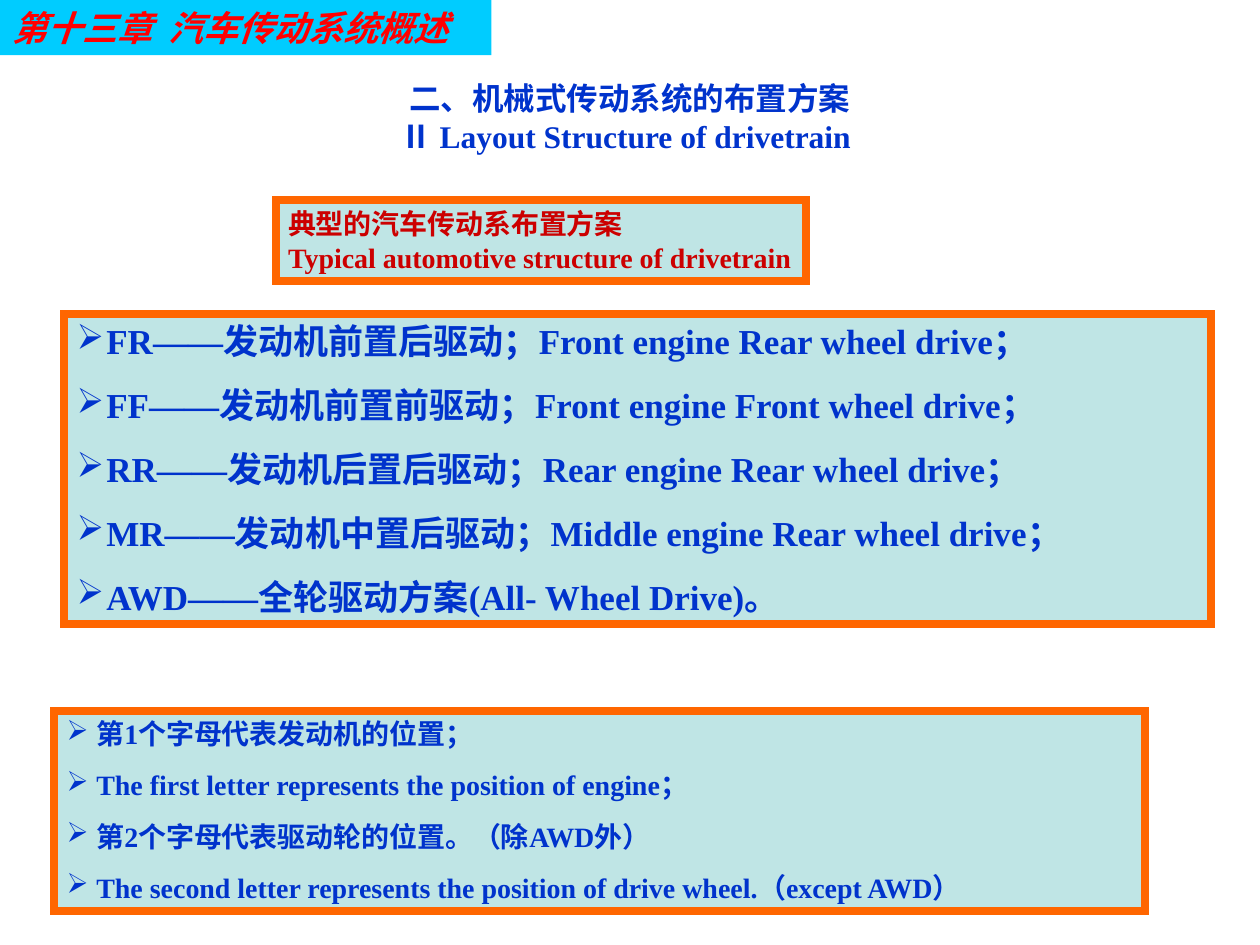
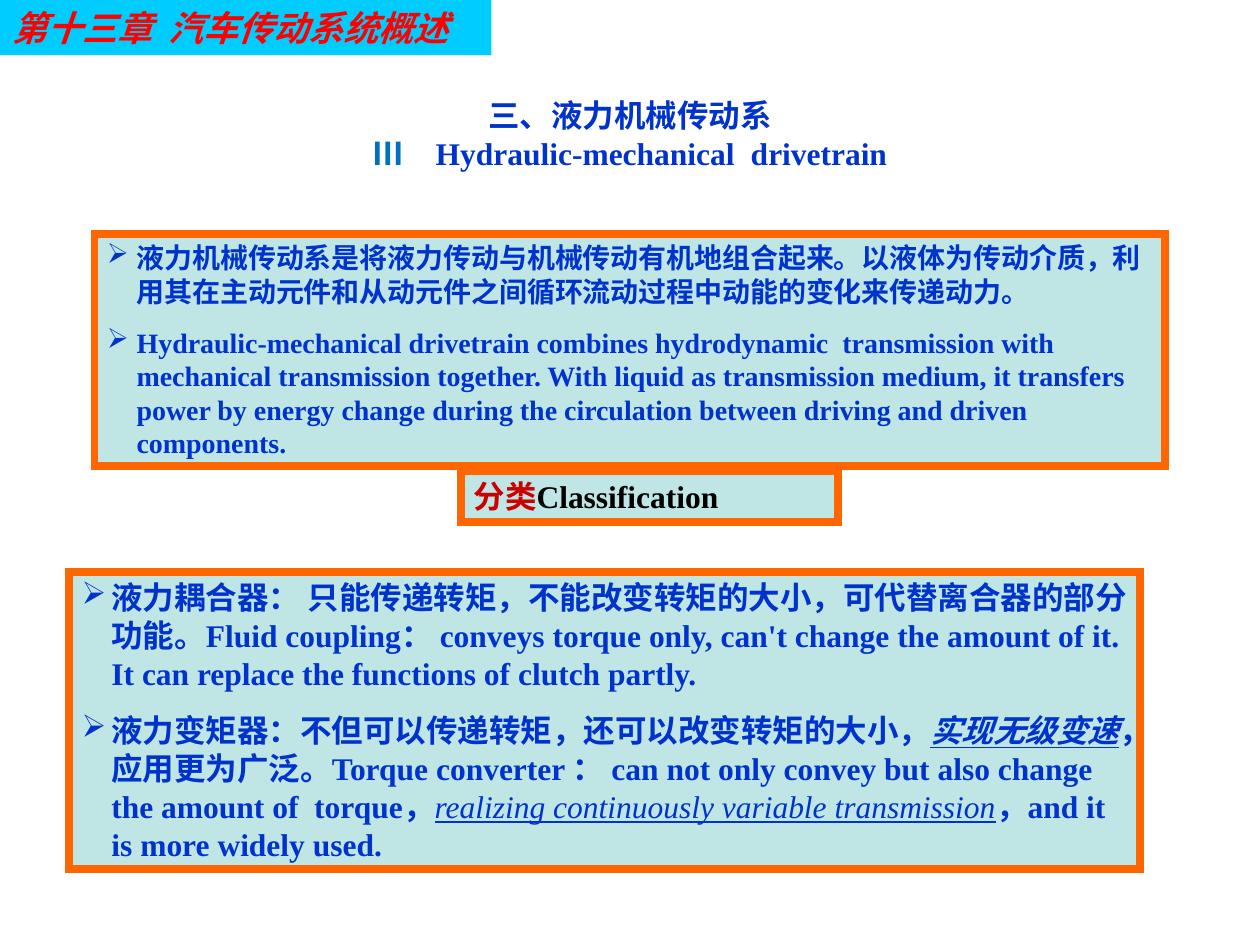
"""Build two slides on drivetrain layouts and hydraulic-mechanical drivetrains."""
from dataclasses import dataclass

from lxml.etree import SubElement
from pptx import Presentation
from pptx.dml.color import RGBColor
from pptx.enum.lang import MSO_LANGUAGE_ID
from pptx.enum.shapes import MSO_SHAPE
from pptx.enum.text import MSO_ANCHOR, PP_ALIGN
from pptx.oxml.ns import qn
from pptx.util import Pt

CYAN = RGBColor(0x00, 0xCC, 0xFF)
RED = RGBColor(0xFF, 0x00, 0x00)
DARK_RED = RGBColor(0xCC, 0x00, 0x00)
BLUE = RGBColor(0x00, 0x33, 0xCC)
LIGHT_BLUE = RGBColor(0x00, 0x70, 0xC0)
TEAL = RGBColor(0x00, 0x99, 0x99)
ORANGE = RGBColor(0xFF, 0x66, 0x00)
BLACK = RGBColor(0x00, 0x00, 0x00)

SANS = "Arial"
SERIF = "Times New Roman"
BULLET_INDENT = 17
TAB_STEP = 72
TAB_COUNT = 8


@dataclass
class Span:
    """A stretch of text with one look."""

    text: str
    font: str = SERIF
    color: RGBColor = BLUE
    bold: bool = True
    italic: bool = False
    underline: bool = False


def set_frame(shape, anchor, wrap=True):
    """Set the margins, anchor and wrapping of a shape and return its text frame."""
    frame = shape.text_frame
    frame.margin_left = frame.margin_right = Pt(7.2)
    frame.margin_top = frame.margin_bottom = Pt(3.6)
    frame.vertical_anchor = anchor
    frame.word_wrap = wrap
    return frame


def add_rectangle(page, box, fill):
    """Add a plain rectangle of one colour."""
    shape = page.shapes.add_shape(MSO_SHAPE.RECTANGLE, *map(Pt, box))
    shape.shadow.inherit = False
    shape.fill.solid()
    shape.fill.fore_color.rgb = fill
    shape.line.fill.background()
    return shape


def add_bullet(para):
    """Give a paragraph a hanging arrowhead bullet."""
    properties = para._p.get_or_add_pPr()
    properties.set("marL", str(Pt(BULLET_INDENT)))
    properties.set("indent", str(-Pt(BULLET_INDENT)))
    color = SubElement(properties, qn("a:buClr"))
    SubElement(color, qn("a:srgbClr"), val=str(BLUE))
    SubElement(properties, qn("a:buChar"), char="➢")


def add_tabs(para):
    """Give a paragraph evenly spaced left tab stops."""
    stops = SubElement(para._p.get_or_add_pPr(), qn("a:tabLst"))
    for number in range(TAB_COUNT):
        SubElement(stops, qn("a:tab"), pos=str(Pt(number * TAB_STEP)), algn="l")


def add_spans(para, spans, size):
    """Append formatted spans to a paragraph."""
    for span in spans:
        run = para.add_run()
        run.text = span.text
        font = run.font
        font.name = span.font
        font.size = Pt(size)
        font.color.rgb = span.color
        font.bold = span.bold
        font.italic = span.italic
        font.underline = span.underline
        font.language_id = MSO_LANGUAGE_ID.SIMPLIFIED_CHINESE


def add_chapter_band(page, box):
    """Add the chapter band at the top left."""
    band = add_rectangle(page, box, CYAN)
    para = set_frame(band, MSO_ANCHOR.TOP).paragraphs[0]
    para.alignment = PP_ALIGN.LEFT
    add_spans(para, [Span("第十三章  汽车传动系统概述", SANS, RED, italic=True)], 20)


def add_title(page, box, chinese, english):
    """Add a centred title with a Chinese line above an English one."""
    shape = page.shapes.add_textbox(*map(Pt, box))
    para = set_frame(shape, MSO_ANCHOR.MIDDLE).paragraphs[0]
    para.alignment = PP_ALIGN.CENTER
    add_tabs(para)
    add_spans(para, [Span(chinese, SANS)], 18)
    para.add_line_break()
    add_spans(para, english, 18)


def add_panel(page, box, rows, size, gap=0, bullets=True, wrap=True):
    """Add an orange-framed translucent panel with one paragraph a row."""
    panel = add_rectangle(page, box, TEAL)
    fill_color = panel._element.spPr.find(qn("a:solidFill"))[0]
    SubElement(fill_color, qn("a:alpha"), val="25000")
    panel.line.color.rgb = ORANGE
    panel.line.width = Pt(4.5)
    SubElement(panel._element.spPr.find(qn("a:ln")), qn("a:miter"), lim="800000")
    frame = set_frame(panel, MSO_ANCHOR.TOP, wrap)
    for index, spans in enumerate(rows):
        para = frame.add_paragraph() if index else frame.paragraphs[0]
        para.alignment = PP_ALIGN.LEFT
        if index:
            para.space_before = Pt(gap)
        if bullets:
            add_bullet(para)
        add_spans(para, spans, size)


def add_page(deck, title_top, chinese, english):
    """Add a blank page with the chapter band and a title."""
    page = deck.slides.add_slide(deck.slide_layouts[6])
    add_chapter_band(page, (0, 0, 280.8, 31.5))
    add_title(page, (36, title_top, 648, 90), chinese, english)
    return page


def build_layout_page(deck):
    """Build the page on typical drivetrain layouts."""
    page = add_page(
        deck, 21.6, "二、机械式传动系统的布置方案",
        [Span("Ⅱ Layout Structure of drivetrain ")],
    )
    layouts = [
        "FR——发动机前置后驱动；Front engine Rear wheel drive；",
        "FF——发动机前置前驱动；Front engine Front wheel drive；",
        "RR——发动机后置后驱动；Rear engine Rear wheel drive；",
        "MR——发动机中置后驱动；Middle engine Rear wheel drive；",
        "AWD——全轮驱动方案(All- Wheel Drive)。",
    ]
    letters = [
        "第1个字母代表发动机的位置；",
        "The first letter represents the position of engine；",
        "第2个字母代表驱动轮的位置。（除AWD外）",
        "The second letter represents the position of drive wheel.（except AWD）",
    ]
    heading = ["典型的汽车传动系布置方案", "Typical automotive structure of drivetrain"]
    add_panel(page, (36.7, 179.3, 655.2, 177.1), [[Span(text)] for text in layouts], 20, 12.5)
    add_panel(
        page, (157.5, 114.5, 303.1, 46.1),
        [[Span(text, color=DARK_RED)] for text in heading], 16, bullets=False, wrap=False,
    )
    add_panel(page, (31, 406.1, 623.5, 114.5), [[Span(text)] for text in letters], 16, 10)


def build_hydraulic_page(deck):
    """Build the page on hydraulic-mechanical drivetrains."""
    page = add_page(
        deck, 31.7, "三、液力机械传动系",
        [Span("Ⅲ　", color=LIGHT_BLUE), Span("Hydraulic-mechanical \tdrivetrain")],
    )
    principle = [
        [Span("液力机械传动系是将液力传动与机械传动有机地组合起来。以液体为传动介质，"
              "利用其在主动元件和从动元件之间循环流动过程中动能的变化来传递动力。", SANS)],
        [Span("Hydraulic-mechanical drivetrain combines hydrodynamic  transmission with "
              "mechanical transmission together. With liquid as transmission medium, it "
              "transfers power by energy change during the circulation between driving "
              "and driven components.")],
    ]
    classes = [
        [
            Span("液力耦合器： 只能传递转矩，不能改变转矩的大小，可代替离合器的部分功能。", SANS),
            Span("Fluid coupling： conveys torque only, can't change the amount of it. "
                 "It can replace the functions of clutch partly."),
        ],
        [
            Span("液力变矩器：不但可以传递转矩，还可以改变转矩的大小，", SANS),
            Span("实现无级变速", SANS, italic=True, underline=True),
            Span("，应用更为广泛。", SANS),
            Span("Torque converter ： can not only convey but also change the amount of  torque，"),
            Span("realizing continuously variable transmission",
                 bold=False, italic=True, underline=True),
            Span("，and it is more widely used."),
        ],
    ]
    heading = [[Span("分类", SANS, DARK_RED), Span("Classification", color=BLACK)]]
    add_panel(page, (54, 133.9, 612, 132.5), principle, 16, 10)
    add_panel(page, (39.6, 326.9, 612, 169.9), classes, 18, 11.2)
    add_panel(page, (263.5, 269.3, 215.3, 28.8), heading, 18, bullets=False)


def main():
    """Build and save the deck."""
    deck = Presentation()
    deck.slide_width, deck.slide_height = Pt(720), Pt(540)
    build_layout_page(deck)
    build_hydraulic_page(deck)
    deck.save("out.pptx")


if __name__ == "__main__":
    main()
